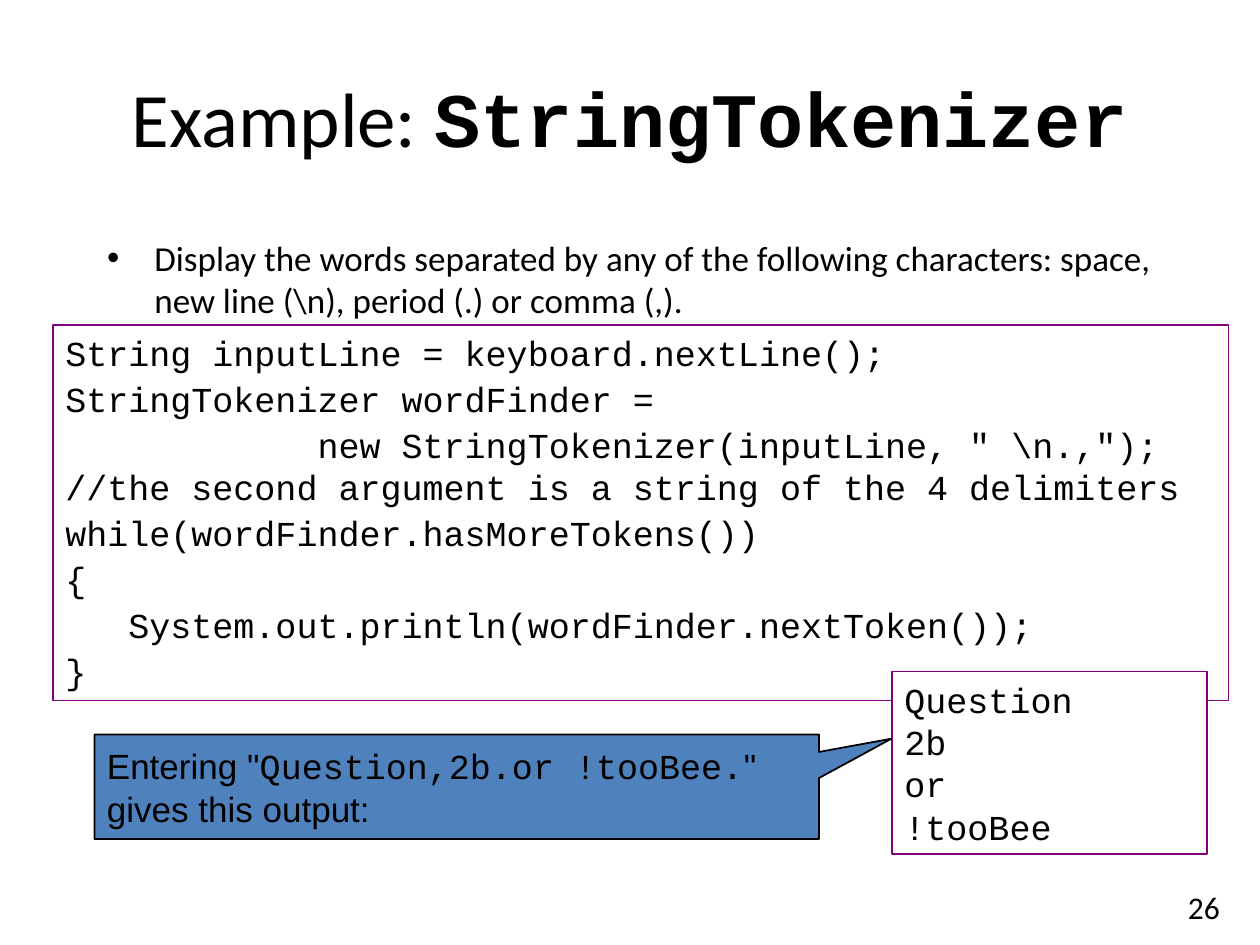
from pptx import Presentation
from pptx.dml.color import RGBColor
from pptx.enum.shapes import MSO_SHAPE
from pptx.enum.text import MSO_ANCHOR, PP_ALIGN
from pptx.util import Inches, Pt

MONO = {"name": "Courier New", "size": Pt(20)}
SANS = {"name": "Arial", "size": Pt(20)}
BODY = {"name": "Calibri", "size": Pt(20)}
NUMBER = {"name": "Calibri", "size": Pt(18)}
TITLE = {"name": "Calibri", "size": Pt(44)}
TITLE_CODE = {"name": "Courier New", "size": Pt(44), "bold": True}
CODE_SPACING = {"alignment": PP_ALIGN.LEFT, "line_spacing": Pt(24.2),
                "space_before": Pt(0), "space_after": Pt(2)}

CODE = [
    "String inputLine = keyboard.nextLine();",
    "StringTokenizer wordFinder =",
    '            new StringTokenizer(inputLine, " \\n.,");\n'
    "//the second argument is a string of the 4 delimiters",
    "while(wordFinder.hasMoreTokens())",
    "{",
    "   System.out.println(wordFinder.nextToken());",
    "}",
]
OUTPUT = ["Question\n2b\nor\n!tooBee"]


def color(value):
    return RGBColor.from_string(value)


def apply(target, values):
    for name, value in values.items():
        setattr(target, name, value)


def place(sp, left, top, width, height):
    apply(sp, {"left": Inches(left), "top": Inches(top),
               "width": Inches(width), "height": Inches(height)})


def add_text(p, text, font):
    for i, line in enumerate(text.split("\n")):
        if i:
            p.add_line_break()
        r = p.add_run()
        r.text = line
        apply(r.font, font)
        r.font.color.rgb = color("000000")


def fill_paragraphs(tf, paragraphs, spacing):
    for i, runs in enumerate(paragraphs):
        p = tf.add_paragraph() if i else tf.paragraphs[0]
        apply(p, spacing)
        for text, font in runs:
            add_text(p, text, font)


def fill_placeholder(sp, box, runs, anchor, spacing):
    place(sp, *box)
    sp.text_frame.vertical_anchor = anchor
    fill_paragraphs(sp.text_frame, [runs], spacing)


def add_box(s, kind, box, fill, line, paragraphs, anchor):
    sp = s.shapes.add_shape(kind, *map(Inches, box))
    sp.shadow.inherit = False
    sp.fill.solid()
    sp.fill.fore_color.rgb = color(fill)
    sp.line.color.rgb = color(line)
    sp.line.width = Pt(1)
    apply(sp.text_frame, {"word_wrap": True, "vertical_anchor": anchor})
    fill_paragraphs(sp.text_frame, paragraphs, CODE_SPACING)
    return sp


def add_code_box(s, box, lines):
    paragraphs = [[(line, MONO)] for line in lines]
    add_box(s, MSO_SHAPE.RECTANGLE, box, "FFFFFF", "800080", paragraphs, MSO_ANCHOR.TOP)


def add_callout(s, box, runs, tip):
    sp = add_box(s, MSO_SHAPE.RECTANGULAR_CALLOUT, box, "4F81BD", "000000",
                 [runs], MSO_ANCHOR.MIDDLE)
    for i, value in enumerate(tip):
        sp.adjustments[i] = value


def add_page_number(s, box, number):
    sp = s.shapes.add_textbox(*map(Inches, box))
    sp.text_frame.word_wrap = True
    fill_paragraphs(sp.text_frame, [[(number, NUMBER)]], {})


def main():
    prs = Presentation()
    prs.slide_width, prs.slide_height = Inches(10), Inches(7.5)
    s = prs.slides.add_slide(prs.slide_layouts[1])
    fill_placeholder(s.shapes.title, (0.5, 0.3, 9, 1.25),
                     [("Example: ", TITLE), ("StringTokenizer", TITLE_CODE)],
                     MSO_ANCHOR.MIDDLE, {"alignment": PP_ALIGN.CENTER})
    fill_placeholder(s.placeholders[1], (0.75, 1.83, 8.5, 5.08),
                     [("Display the words separated by any of the following characters: "
                       "space, new line (\\n), period (.) or comma (,).", BODY)],
                     MSO_ANCHOR.TOP, {"space_before": Pt(0)})
    add_code_box(s, (0.42, 2.58, 9.33, 2.98), CODE)
    add_code_box(s, (7.08, 5.33, 2.5, 1.45), OUTPUT)
    add_callout(s, (0.75, 5.83, 5.75, 0.83),
                [('Entering "', SANS), ("Question,2b.or !tooBee.", MONO),
                 ('" gives this output:', SANS)], (0.6, -0.46))
    add_page_number(s, (9.33, 7, 0.67, 0.4), "26")
    prs.save("out.pptx")


if __name__ == "__main__":
    main()
